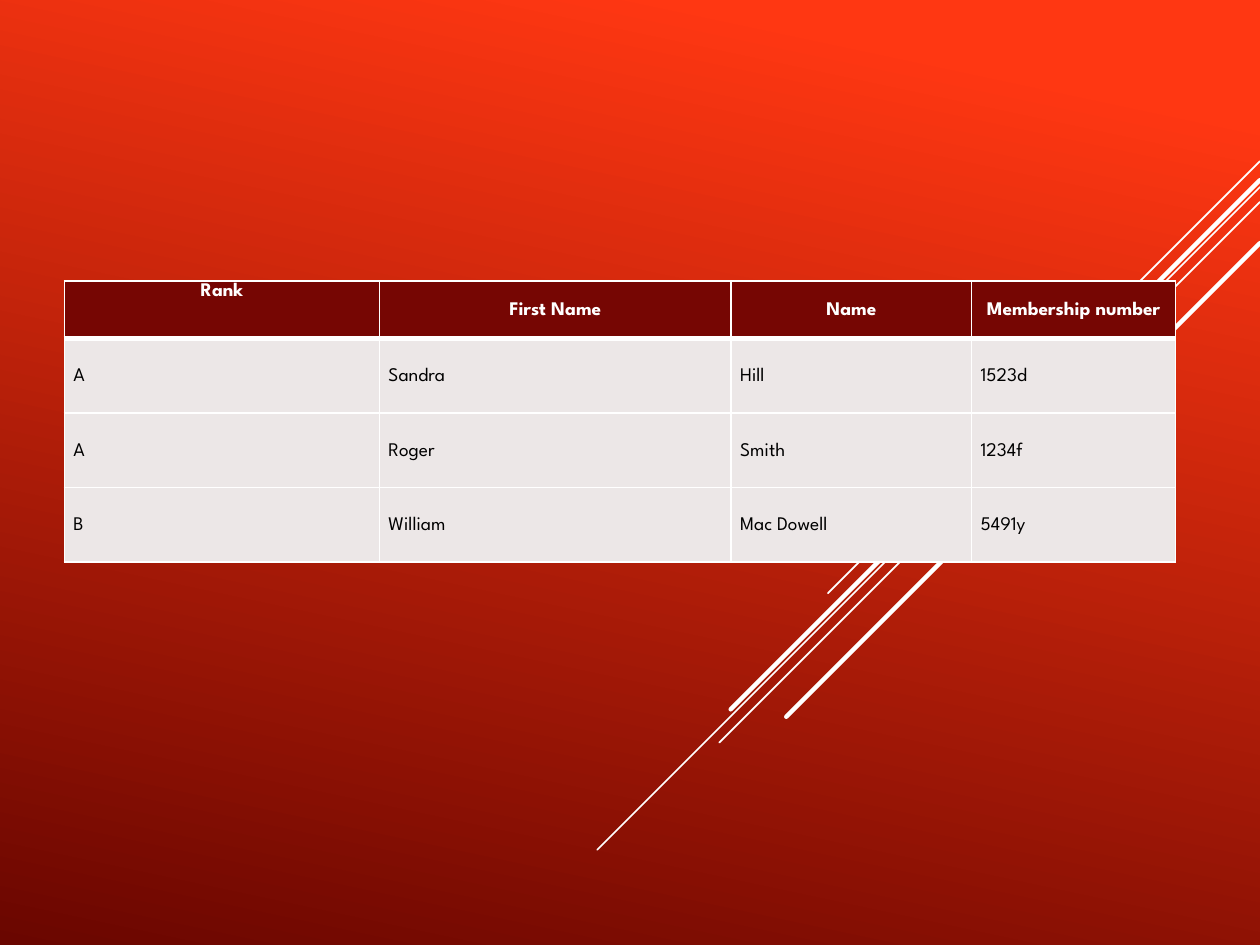
"""Build a slide with a membership table over a red gradient and diagonal lines."""
import dataclasses
import typing

import lxml.etree
import pptx
import pptx.dml.color
import pptx.enum.shapes
import pptx.enum.text
import pptx.oxml.ns
import pptx.util

Cm = pptx.util.Cm
Pt = pptx.util.Pt
qn = pptx.oxml.ns.qn
Anchor = pptx.enum.text.MSO_ANCHOR
Align = pptx.enum.text.PP_ALIGN


def color(value):
    return pptx.dml.color.RGBColor.from_string(value)


def write(frame, text, *, font, size, ink, bold=False, align=Align.LEFT):
    para = frame.paragraphs[0]
    para.alignment = align
    para.line_spacing = 1.15
    para.space_after = Pt(10)
    span = para.add_run()
    span.text = text
    span.font.name = font
    span.font.size = Pt(size)
    span.font.bold = bold
    span.font.color.rgb = color(ink)


@dataclasses.dataclass
class Painter:
    page: typing.Any
    font: str = "League Spartan"
    size: float = 11
    white: str = "FFFFFF"
    black: str = "000000"
    header: str = "760603"
    body: str = "ECE7E7"

    def background(self, stops, angle):
        fill = self.page.background.fill
        fill.gradient()
        fill.gradient_angle = 360 - angle
        for stop, (position, value) in zip(fill.gradient_stops, stops):
            stop.position = position
            stop.color.rgb = color(value)

    def diagonal(self, right, top, run, width):
        line = self.page.shapes.add_connector(
            pptx.enum.shapes.MSO_CONNECTOR.STRAIGHT,
            Cm(right), Cm(top), Cm(right - run), Cm(top + run))
        line.line.color.rgb = color(self.white)
        line.line.width = Pt(width)
        properties = line._element.spPr
        properties.find(qn("a:ln")).set("cap", "rnd")
        lxml.etree.SubElement(properties, qn("a:effectLst"))

    def border(self, cell, side, width):
        properties = cell._tc.get_or_add_tcPr()
        line = lxml.etree.SubElement(properties, qn(f"a:ln{side}"), w=str(Pt(width)))
        fill = lxml.etree.SubElement(line, qn("a:solidFill"))
        lxml.etree.SubElement(fill, qn("a:srgbClr"), val=self.white)

    def cell(self, cell, text, row, column):
        is_header = row == 0
        widths = {"L": 1, "R": 1, "T": 3 if row == 1 else 1, "B": 3 if is_header else 1}
        for side, width in widths.items():
            self.border(cell, side, width)
        cell.fill.solid()
        cell.fill.fore_color.rgb = color(self.header if is_header else self.body)
        cell.margin_left = cell.margin_right = Cm(0.18)
        cell.margin_top = cell.margin_bottom = 0
        cell.vertical_anchor = Anchor.TOP if row == column == 0 else Anchor.MIDDLE
        write(cell.text_frame, text, font=self.font, size=self.size, bold=is_header,
              ink=self.white if is_header else self.black,
              align=Align.CENTER if is_header else Align.LEFT)

    def table(self, left, top, widths, heights, rows):
        table = self.page.shapes.add_table(
            len(rows), len(widths), Cm(left), Cm(top),
            Cm(sum(widths)), Cm(sum(heights))).table
        for column, width in zip(table.columns, widths):
            column.width = Cm(width)
        for line, height in zip(table.rows, heights):
            line.height = Cm(height)
        for row, texts in enumerate(rows):
            for column, text in enumerate(texts):
                self.cell(table.cell(row, column), text, row, column)


def main():
    deck = pptx.Presentation()
    deck.slide_width, deck.slide_height = Cm(25.4), Cm(19.05)
    painter = Painter(deck.slides.add_slide(deck.slide_layouts[6]))
    painter.background([(0.1, "FF3712"), (1, "6A0600")], angle=102)

    diagonals = [
        (3.25, 8.71, 1),
        (3.77, 13.36, 1),
        (4.07, 10.9, 1),
        (3.63, 10.67, 2.5),
        (4.9, 9.55, 2.5),
    ]
    for top, run, width in diagonals:
        painter.diagonal(25.4, top, run, width)

    members = [
        ("Rank", "First Name", "Name", "Membership number"),
        ("A", "Sandra", "Hill", "1523d"),
        ("A", "Roger", "Smith", "1234f"),
        ("B", "William", "Mac Dowell", "5491y"),
    ]
    painter.table(1.3, 5.66, [6.35, 7.09, 4.85, 4.11], [1.17] + [1.5] * 3, members)
    deck.save("out.pptx")


if __name__ == "__main__":
    main()
